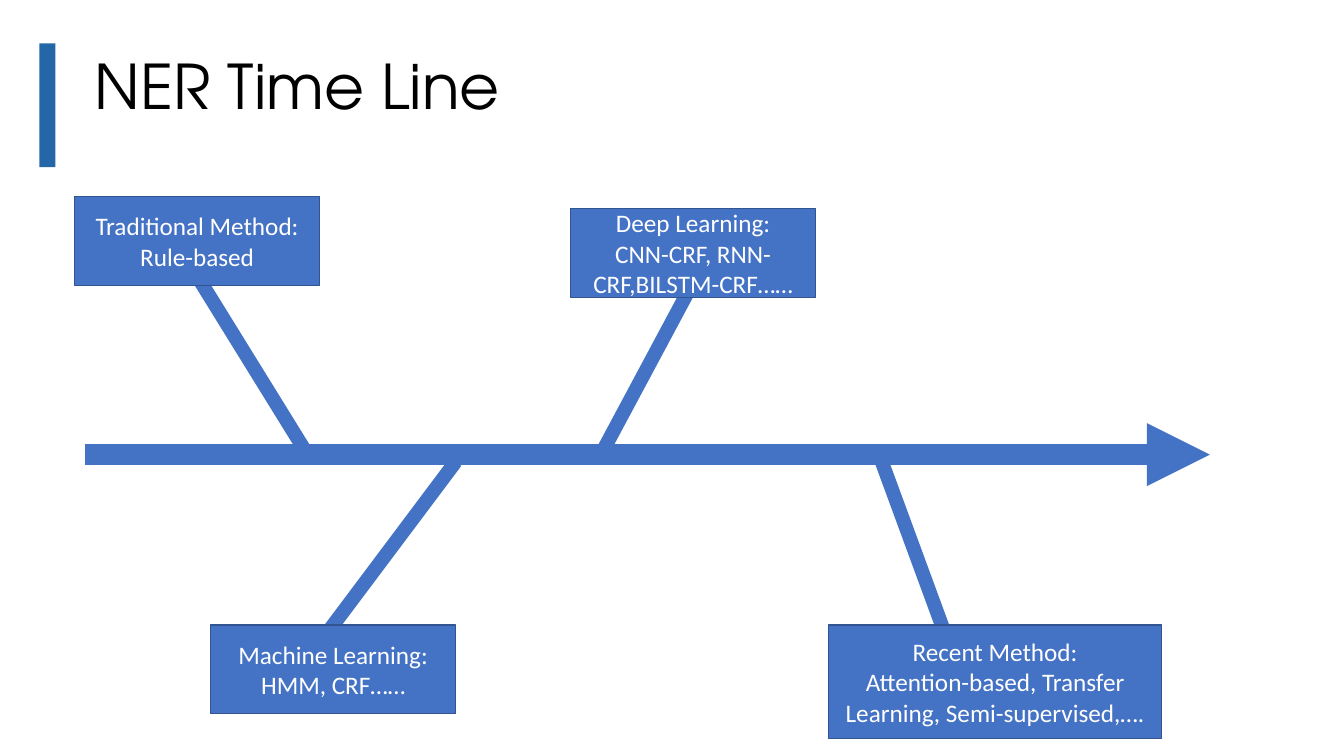
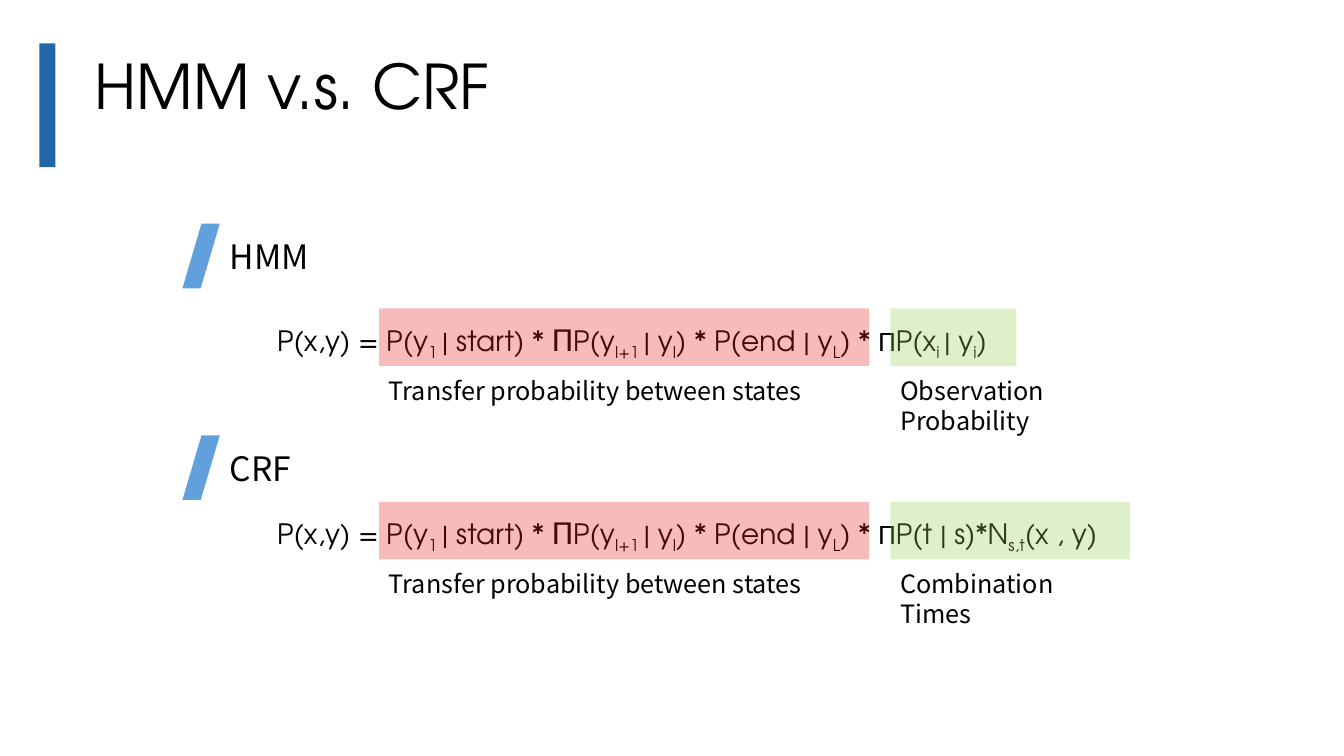
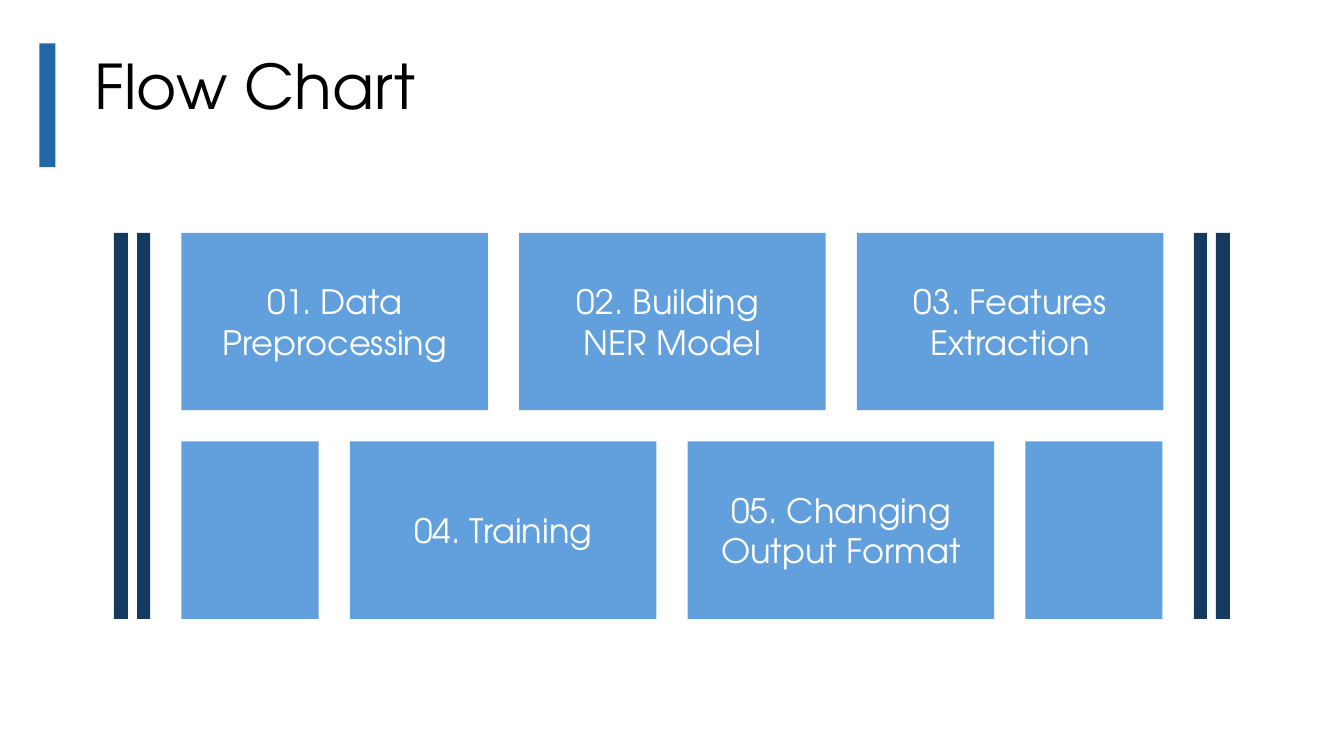
from dataclasses import dataclass
from lxml.etree import SubElement
from pptx import Presentation
from pptx.dml.color import RGBColor
from pptx.enum.shapes import MSO_CONNECTOR, MSO_SHAPE
from pptx.enum.text import MSO_ANCHOR, MSO_AUTO_SIZE, PP_ALIGN
from pptx.oxml.ns import qn
from pptx.util import Pt


@dataclass(frozen=True)
class Theme:
    black: str = "000000"
    white: str = "FFFFFF"
    accent_bar: str = "2467A8"
    timeline: str = "4472C4"
    timeline_border: str = "325491"
    tile: str = "619FDD"
    stripe: str = "143A60"
    transfer: str = "E72121"
    observation: str = "92D050"
    heading_font: str = "TeX Gyre Adventor"
    label_font: str = "Noto Sans CJK SC"
    body_font: str = "Calibri"
    title_size: int = 44
    heading_size: int = 24
    formula_size: int = 20
    label_size: int = 18


theme = Theme()
PX = 9144


def style_text(text_frame, font, size, color, alignment=PP_ALIGN.LEFT, anchor=MSO_ANCHOR.TOP):
    text_frame.word_wrap = True
    text_frame.auto_size = MSO_AUTO_SIZE.NONE
    text_frame.vertical_anchor = anchor
    for paragraph in text_frame.paragraphs:
        paragraph.alignment = alignment
        for run in paragraph.runs:
            run.font.name = font
            run.font.size = Pt(size)
            run.font.color.rgb = RGBColor.from_string(color)


def add_block(slide, box, fill, kind=MSO_SHAPE.RECTANGLE, border=None, opacity=None):
    shape = slide.shapes.add_shape(kind, *[length * PX for length in box])
    shape.shadow.inherit = False
    shape.fill.solid()
    shape.fill.fore_color.rgb = RGBColor.from_string(fill)
    if border:
        shape.line.color.rgb = RGBColor.from_string(border)
        shape.line.width = Pt(1)
    else:
        shape.line.fill.background()
    if opacity:
        color = shape._element.spPr.find(qn("a:solidFill")).find(qn("a:srgbClr"))
        SubElement(color, qn("a:alpha")).set("val", str(opacity * 1000))
    return shape


presentation = Presentation()
presentation.slide_width = 1333 * PX
presentation.slide_height = 750 * PX

slides = []
for title_text in ("NER Time Line", "HMM v.s. CRF", "Flow Chart"):
    slide = presentation.slides.add_slide(presentation.slide_layouts[5])
    add_block(slide, (39, 43, 16, 123), theme.accent_bar)
    title = slide.shapes.title
    title.left, title.top, title.width, title.height = 84 * PX, 43 * PX, 1107 * PX, 84 * PX
    title.text_frame.text = title_text
    style_text(title.text_frame, theme.heading_font, theme.title_size, theme.black)
    slides.append(slide)
timeline_slide, formula_slide, flow_slide = slides

timeline_lines = [
    ((84, 451, 1200, 451), 15, True),
    ((305, 451, 195, 273), 10, False),
    ((323, 630, 452, 458), 10, False),
    ((596, 451, 688, 279), 10, False),
    ((944, 647, 872, 451), 10, False),
]
for ends, width, has_arrow in timeline_lines:
    connector = timeline_slide.shapes.add_connector(
        MSO_CONNECTOR.STRAIGHT, *[length * PX for length in ends])
    connector.line.color.rgb = RGBColor.from_string(theme.timeline)
    connector.line.width = Pt(width)
    if has_arrow:
        SubElement(connector.line._get_or_add_ln(), qn("a:tailEnd")).set("type", "triangle")
    SubElement(connector._element.spPr, qn("a:effectLst"))

methods = [
    ((74, 195, 243, 88), "Traditional Method:\nRule-based"),
    ((566, 207, 243, 88), "Deep Learning:\nCNN-CRF, RNN-CRF,BILSTM-CRF……"),
    ((209, 620, 243, 88), "Machine Learning:\nHMM, CRF……"),
    ((822, 620, 330, 113), "Recent Method:\nAttention-based, Transfer Learning, Semi-supervised,…."),
]
for box, text in methods:
    method = add_block(timeline_slide, box, theme.timeline, border=theme.timeline_border)
    method.text_frame.text = text
    style_text(method.text_frame, theme.body_font, theme.label_size, theme.white,
               PP_ALIGN.CENTER, MSO_ANCHOR.MIDDLE)

transfer_terms = [
    ("P(x,y) = P(y", "normal"), ("1 ", "subscript"), ("| start) * ", "normal"),
    ("Π", "large symbol"), ("P(y", "normal"), ("l+1 ", "subscript"), ("| y", "normal"),
    ("l", "subscript"), (") * P(end | y", "normal"), ("L", "subscript"), (") * ", "normal"),
    ("Π", "symbol"),
]
hmm_terms = [("P(x", "normal"), ("i ", "subscript"), ("| y", "normal"),
             ("i", "subscript"), (")", "normal")]
crf_terms = [("P(t | s)*N", "normal"), ("s,t", "subscript"), ("(x , y)", "normal")]
models = [
    ("HMM", 222, 306, hmm_terms, 125, "Observation Probability"),
    ("CRF", 432, 498, crf_terms, 238, "Combination Times"),
]
for name, heading_top, band_top, last_terms, last_width, last_label in models:
    slash = add_block(formula_slide, (181, heading_top, 37, 64), theme.tile, MSO_SHAPE.PARALLELOGRAM)
    slash.adjustments[0] = 0.51

    formula_box = formula_slide.shapes.add_textbox(265 * PX, (band_top + 4) * PX, 900 * PX, 50 * PX)
    paragraph = formula_box.text_frame.paragraphs[0]
    for text, _ in transfer_terms + last_terms:
        paragraph.add_run().text = text
    style_text(formula_box.text_frame, theme.heading_font, theme.formula_size, theme.black)
    for run, (_, role) in zip(paragraph.runs, transfer_terms + last_terms):
        if role == "subscript":
            run.font._element.set("baseline", "-25000")
        if role.endswith("symbol"):
            run.font.name = theme.body_font
        if role == "large symbol":
            run.font.size = Pt(theme.heading_size)

    add_block(formula_slide, (376, band_top, 486, 57), theme.transfer, opacity=30)
    add_block(formula_slide, (883, band_top, last_width, 57), theme.observation, opacity=30)

    labels = [
        ((218, heading_top + 7, 150, 50), name, theme.heading_size),
        ((376, band_top + 61, 460, 40), "Transfer probability between states", theme.label_size),
        ((883, band_top + 61, 190, 71), last_label, theme.label_size),
    ]
    for box, text, size in labels:
        label = formula_slide.shapes.add_textbox(*[length * PX for length in box])
        label.text_frame.text = text
        style_text(label.text_frame, theme.label_font, size, theme.black)

tile_gap = 31
tile_rows = [
    (231, [(304, "01. Data\nPreprocessing"), (304, "02. Building \nNER Model"),
           (304, "03. Features\nExtraction")]),
    (438, [(136, ""), (304, "04. Training"), (304, "05. Changing\nOutput Format"), (136, "")]),
]
for top, tiles in tile_rows:
    left = 180
    for width, text in tiles:
        tile = add_block(flow_slide, (left, top, width, 176), theme.tile)
        if text:
            tile.text_frame.text = text
            style_text(tile.text_frame, theme.heading_font, theme.heading_size, theme.white,
                       PP_ALIGN.CENTER, MSO_ANCHOR.MIDDLE)
        left += width + tile_gap

for left, width in ((113, 14), (136, 13), (1184, 13), (1206, 14)):
    add_block(flow_slide, (left, 231, width, 383), theme.stripe)

presentation.save("out.pptx")
